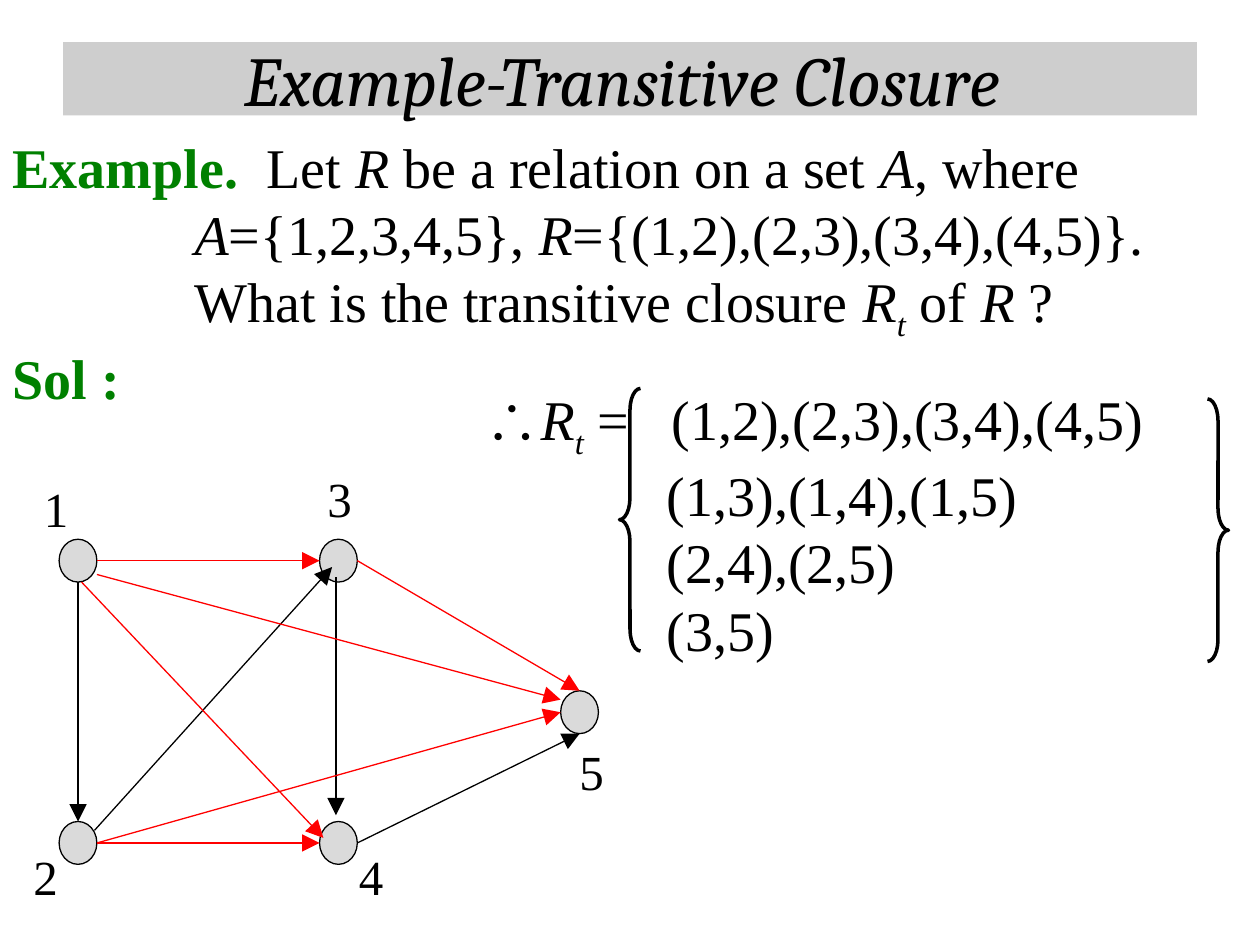
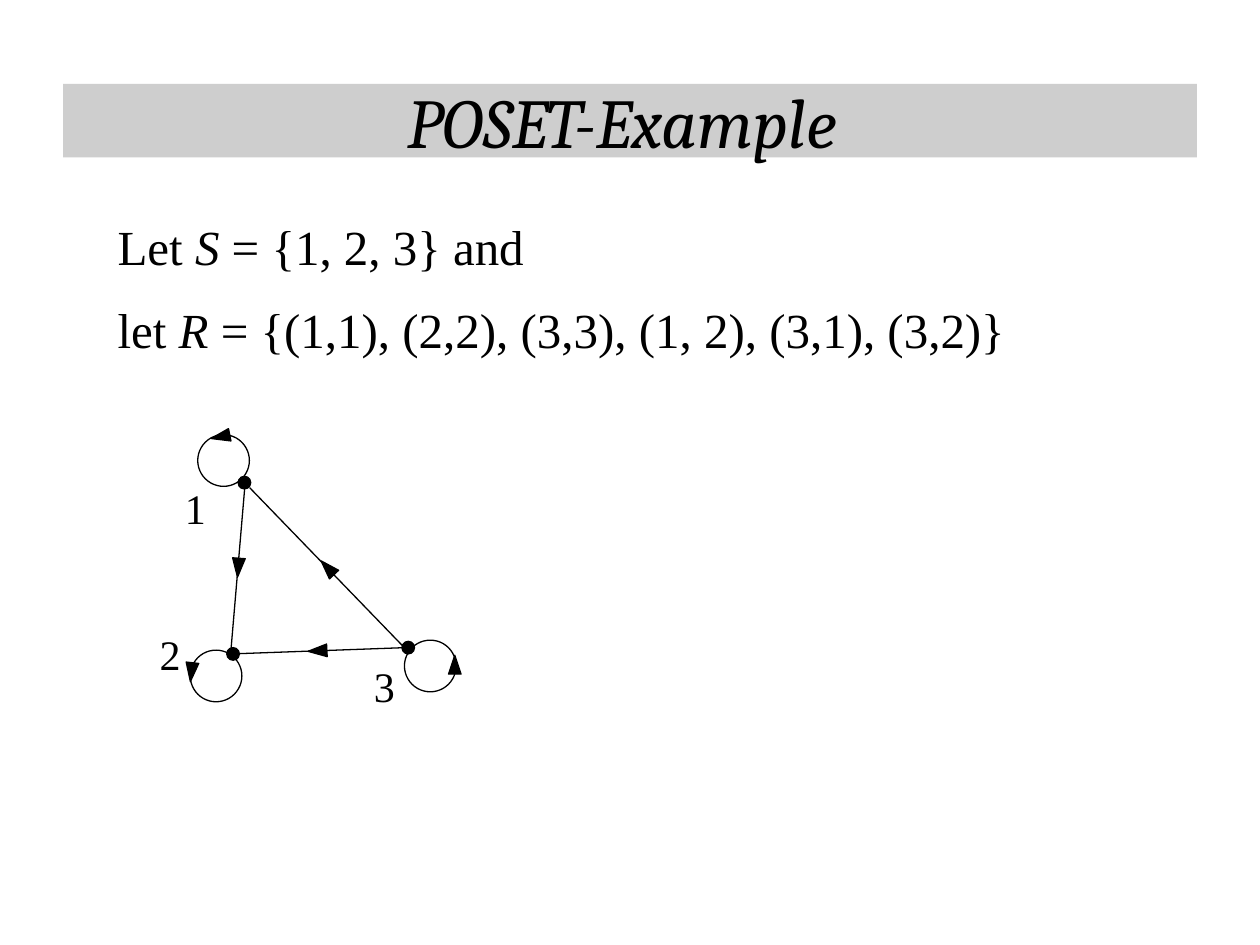
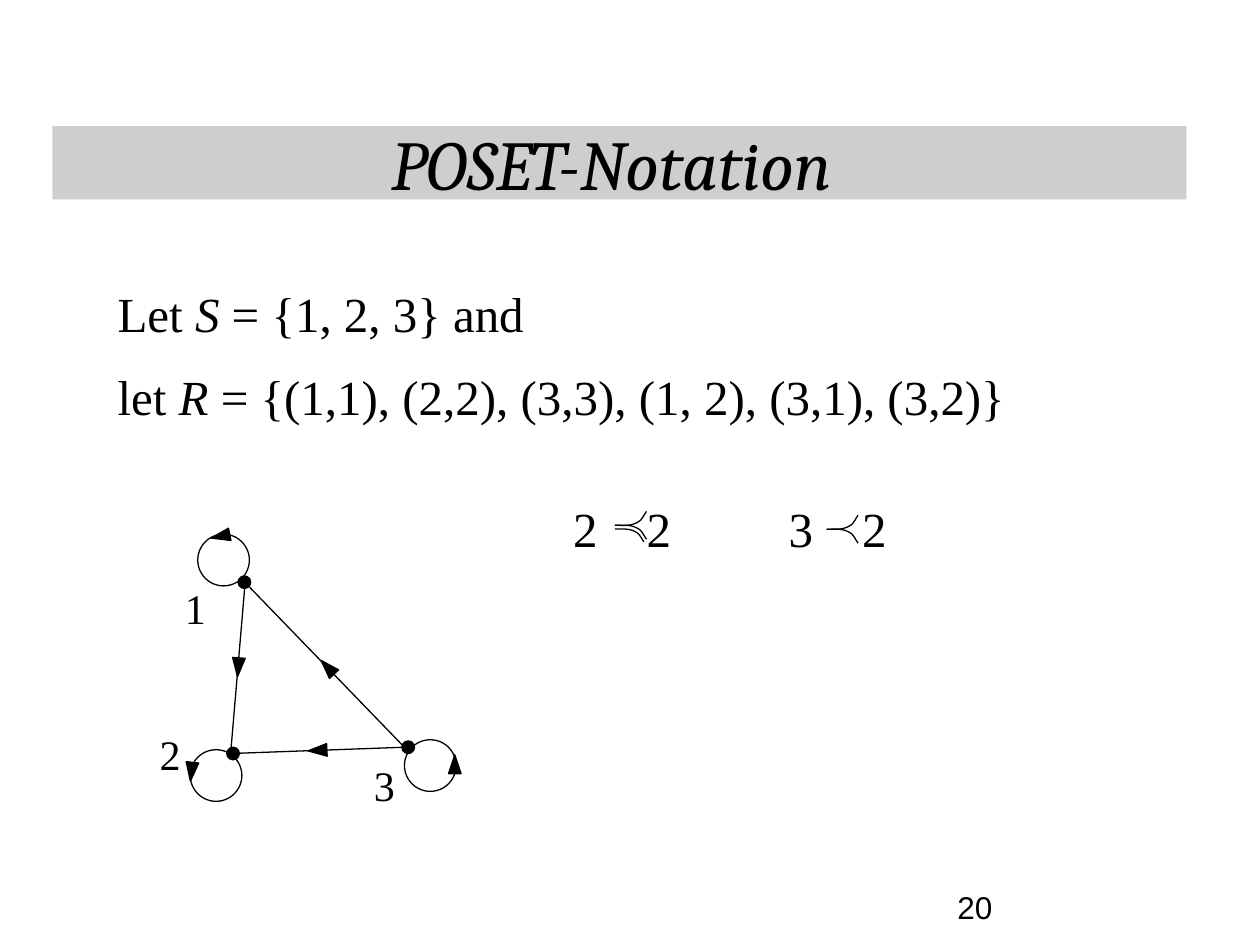
from dataclasses import dataclass

from pptx import Presentation
from pptx.dml.color import RGBColor
from pptx.enum.shapes import MSO_CONNECTOR, MSO_SHAPE
from pptx.enum.text import MSO_ANCHOR, MSO_AUTO_SIZE, PP_ALIGN
from pptx.oxml.ns import qn
from pptx.util import Pt
from lxml import etree

OVAL, TRIANGLE = MSO_SHAPE.OVAL, MSO_SHAPE.ISOSCELES_TRIANGLE
LEFT_BRACE, RIGHT_BRACE = MSO_SHAPE.LEFT_BRACE, MSO_SHAPE.RIGHT_BRACE
STRAIGHT = MSO_CONNECTOR.STRAIGHT
LEFT_ALIGN, CENTER = PP_ALIGN.LEFT, PP_ALIGN.CENTER
MIDDLE, NO_AUTOFIT = MSO_ANCHOR.MIDDLE, MSO_AUTO_SIZE.NONE


@dataclass(frozen=True)
class Theme:
    ink: RGBColor = RGBColor(0, 0, 0)
    keyword: RGBColor = RGBColor(0, 0x80, 0)
    derived: RGBColor = RGBColor(0xFF, 0, 0)
    band: RGBColor = RGBColor(0xCE, 0xCE, 0xCE)
    node: RGBColor = RGBColor(0xDA, 0xDA, 0xDA)
    title_font: str = "Cambria"
    text_font: str = "Times New Roman"
    number_font: str = "Arial"
    title_size: int = 40
    example_size: int = 32
    text_size: int = 28
    label_size: int = 24
    number_size: int = 18
    thin: float = 0.75
    brace: float = 2


THEME = Theme()

# Content: a paragraph is (left indent, runs); a run is (text, style)
PLAIN, ITALIC, SUB, KEY = "plain", "italic", "sub", "key"
BRACE_GAP, SIGN_GAP = "brace gap", "sign gap"
TRACKING = {BRACE_GAP: 16, SIGN_GAP: 21}  # extra width of a space, in points
INDENT = 104

CLOSURE_TITLE = ("Example-Transitive Closure ", (36, 24))
POSET_TITLE = ("POSET-Example ", (36, 48))
NOTATION_TITLE = ("POSET-Notation ", (30, 72))

QUESTION = [
    (0, [("Example.", KEY), ("  Let ", PLAIN), ("R", ITALIC),
         (" be a relation on a set ", PLAIN), ("A", ITALIC), (", where", PLAIN)]),
    (INDENT, [("A", ITALIC), ("={1,2,3,4,5}, ", PLAIN), ("R", ITALIC),
              ("={(1,2),(2,3),(3,4),(4,5)}.", PLAIN)]),
    (INDENT, [("What is the transitive closure ", PLAIN), ("R", ITALIC), ("t", SUB),
              (" of ", PLAIN), ("R", ITALIC), (" ?", PLAIN)]),
    (0, [("Sol :", KEY)]),
]
CLOSURE = [
    (0, [("∴", PLAIN), ("R", ITALIC), ("t", SUB), (" =", PLAIN), (" ", BRACE_GAP),
         ("(1,2),(2,3),(3,4),(4,5)", PLAIN)]),
    (INDENT, [("(1,3),(1,4),(1,5)", PLAIN)]),
    (INDENT, [("(2,4),(2,5)", PLAIN)]),
    (INDENT, [("(3,5)", PLAIN)]),
]
POSET = [
    (0, [("Let ", PLAIN), ("S", ITALIC), (" = {1, 2, 3} and", PLAIN)]),
    (0, [("let ", PLAIN), ("R", ITALIC),
         (" = {(1,1), (2,2), (3,3), (1, 2), (3,1), (3,2)}", PLAIN)]),
]
POSET_BOX, POSET_GAP = (60, 623.5, 91.5), 14
BRACES = [(LEFT_BRACE, 354, 222), (RIGHT_BRACE, 690, 228)]

# Closure graph: node -> (centre, label corner)
NODE_W, NODE_H = 21.6, 24.5
NODES = {
    "1": ((44.6, 320.4), (18, 270)),
    "2": ((44.6, 481.7), (12, 480)),
    "3": ((193.4, 320.4), (180, 264)),
    "4": ((193.4, 481.7), (198, 480)),
    "5": ((331.2, 407), (324, 420)),
}
TOP, BOTTOM = (0, -NODE_H / 2), (0, NODE_H / 2)
LEFT, RIGHT = (-NODE_W / 2, 0), (NODE_W / 2, 0)
# Edges: start, offset from its centre, end, offset from its centre
GIVEN = [
    ("1", BOTTOM, "2", TOP),
    ("2", (9.4, -7.2), "3", (-3.6, 3.6)),
    ("3", (-1.4, 9.4), "4", (-1.4, -15.8)),
    ("4", RIGHT, "5", BOTTOM),
]
DERIVED = [
    ("1", RIGHT, "3", LEFT),
    ("2", RIGHT, "4", LEFT),
    ("1", (2, 12.2), "4", (-8.6, -2.9)),
    ("1", (10.8, 7.9), "5", (-10.8, -7.2)),
    ("2", RIGHT, "5", LEFT),
    ("3", RIGHT, "5", TOP),
]

# Poset graph: label -> (dot corner, label corner, loop corner)
POINTS = {
    "1": ((136.1, 272.2), (98.6, 272.2), (113, 248.4)),
    "2": ((129.6, 370.1), (84.2, 355.7), (108.7, 371.5)),
    "3": ((229.7, 366.5), (206.6, 373.7), (231.1, 365.8)),
}
POSET_EDGES = [
    ((140.4, 272.2), (131.8, 373.7)),
    ((142.6, 278.6), (231.1, 370.1)),
    ((231.1, 370.1), (131.8, 373.7)),
]
# Arrowheads: corner and rotation
HEADS = [
    ((177.8, 366.5), 267), ((183.6, 319), 316.7), ((132.5, 319), 184.2),
    ((122.4, 244.1), 258.6), ((105.8, 378.7), 186.2), ((256.3, 374.4), 0),
]
DOT, LOOP = 7.2, 29.5

# Order signs: upper branch as Bezier control points, then (flip, scale, drop)
BRANCH = [(0, 0), (0.7, 0), (0.7, 0), (2.2, 0), (2.9, 0), (5, 0.2), (6.5, 0),
          (8.6, 0), (11.5, -0.7), (13.7, -2.2), (15.1, -2.9), (16.6, -5.8), (18, -8)]
PRECEDES = [(1, 1, 0), (-1, 1, 0)]
PRECEDES_EQUAL = PRECEDES + [(-1, 0.92, 2.2)]
COMPARISONS = [
    ("2", "2", (320.4, 281.5), (351.4, 300.2), PRECEDES_EQUAL),
    ("3", "2", (443.5, 281.5), (472.3, 302.4), PRECEDES),
]


# Text
def write(frame, paragraphs, size, font=THEME.text_font, gap=0, align=LEFT_ALIGN):
    for index, (indent, runs) in enumerate(paragraphs):
        paragraph = frame.paragraphs[0] if index == 0 else frame.add_paragraph()
        paragraph.alignment = align
        paragraph.space_before = Pt(gap if index else 0)
        props = paragraph._p.get_or_add_pPr()
        props.set("marL", str(Pt(indent)))
        props.set("indent", "0")
        etree.SubElement(props, qn("a:buNone"))
        for text, style in runs:
            run = paragraph.add_run()
            run.text = text
            run.font.size, run.font.name = Pt(size), font
            run.font.bold = style == KEY
            run.font.italic = style in (ITALIC, SUB)
            run.font.color.rgb = THEME.keyword if style == KEY else THEME.ink
            if style == SUB:
                run.font._element.set("baseline", "-25000")
            if style in TRACKING:
                run.font._element.set("spc", str(TRACKING[style] * 100))


def place(shape, left, top, width, height):
    shape.left, shape.top = Pt(left), Pt(top)
    shape.width, shape.height = Pt(width), Pt(height)


def text_box(shapes, corner, width, height, paragraphs, size, wrap=True, **options):
    box = shapes.add_textbox(Pt(corner[0]), Pt(corner[1]), Pt(width), Pt(height))
    box.text_frame.word_wrap = wrap
    write(box.text_frame, paragraphs, size, **options)


def label(shapes, corner, text, size, height, wrap):
    text_box(shapes, corner, 30, height, [(0, [(text, PLAIN)])], size, wrap)


# Shapes and lines
def outline(shape, fill=None, weight=THEME.thin):
    shape.shadow.inherit = False
    if fill is None:
        shape.fill.background()
    else:
        shape.fill.solid()
        shape.fill.fore_color.rgb = fill
    shape.line.color.rgb = THEME.ink
    shape.line.width = Pt(weight)


def add_outline(shapes, kind, corner, width, height, fill=None, weight=THEME.thin):
    shape = shapes.add_shape(kind, Pt(corner[0]), Pt(corner[1]), Pt(width), Pt(height))
    outline(shape, fill, weight)
    return shape


def add_line(shapes, start, end, color=THEME.ink, arrow=False):
    edge = shapes.add_connector(STRAIGHT, *(Pt(v) for v in (*start, *end)))
    edge.line.color.rgb = color
    edge.line.width = Pt(THEME.thin)
    if arrow:
        etree.SubElement(edge.line._get_or_add_ln(), qn("a:tailEnd"),
                         type="triangle", w="lg", len="lg")
    etree.SubElement(edge._element.spPr, qn("a:effectLst"))


def shifted(point, dx, dy):
    return point[0] + dx, point[1] + dy


# Slide frame: title band and body text
def new_slide(deck, title, body, body_top, body_box, size, gap=0):
    slide = deck.slides.add_slide(deck.slide_layouts[1])
    heading, content = slide.shapes.title, slide.placeholders[1]
    text, corner = title
    place(heading, *corner, 648, 42)
    heading.fill.solid()
    heading.fill.fore_color.rgb = THEME.band
    heading.text_frame.vertical_anchor = MIDDLE
    write(heading.text_frame, [(0, [(text, ITALIC)])], THEME.title_size,
          THEME.title_font, align=CENTER)
    left, width, height = body_box
    place(content, left, body_top, width, height)
    write(content.text_frame, body, size, gap=gap)
    for frame in (heading.text_frame, content.text_frame):
        frame.auto_size = NO_AUTOFIT
        frame.word_wrap = True
    return slide


def closure_graph(shapes):
    for name, (centre, corner) in NODES.items():
        add_outline(shapes, OVAL, shifted(centre, -NODE_W / 2, -NODE_H / 2),
                    NODE_W, NODE_H, THEME.node)
        label(shapes, corner, name, THEME.text_size, 41, wrap=False)
    for edges, color in ((GIVEN, THEME.ink), (DERIVED, THEME.derived)):
        for start, start_offset, end, end_offset in edges:
            add_line(shapes, shifted(NODES[start][0], *start_offset),
                     shifted(NODES[end][0], *end_offset), color, arrow=True)


def poset_graph(slide, drop):
    shapes = slide.shapes.add_group_shape().shapes
    for name, (dot, corner, loop) in POINTS.items():
        add_outline(shapes, OVAL, shifted(dot, 0, drop), DOT, DOT, THEME.ink)
        label(shapes, shifted(corner, 0, drop), name, THEME.label_size, 29, wrap=True)
        add_outline(shapes, OVAL, shifted(loop, 0, drop), LOOP, LOOP)
    for start, end in POSET_EDGES:
        add_line(shapes, shifted(start, 0, drop), shifted(end, 0, drop))
    for corner, turn in HEADS:
        head = add_outline(shapes, TRIANGLE, shifted(corner, 0, drop), 7.2, 10.8, THEME.ink)
        head.rotation = turn


def branch_points(steps=5):
    points = [BRANCH[0]]
    for i in range(0, len(BRANCH) - 1, 3):
        for step in range(1, steps + 1):
            t = step / steps
            weights = ((1 - t) ** 3, 3 * t * (1 - t) ** 2, 3 * t * t * (1 - t), t ** 3)
            points.append(tuple(sum(w * p[axis] for w, p in zip(weights, BRANCH[i:i + 4]))
                                for axis in (0, 1)))
    return points


def order_sign(shapes, origin, branches):
    for flip, scale, drop in branches:
        start, *rest = [(Pt(origin[0] + x * scale), Pt(origin[1] + drop + y * flip * scale))
                        for x, y in branch_points()]
        pen = shapes.build_freeform(*start)
        pen.add_line_segments(rest, close=False)
        outline(pen.convert_to_shape())


def main():
    deck = Presentation()
    deck.slide_width, deck.slide_height = Pt(720), Pt(540)

    # Transitive closure
    slide = new_slide(deck, CLOSURE_TITLE, QUESTION, 72, (0, 720, 160.5), THEME.example_size)
    closure_graph(slide.shapes)
    text_box(slide.shapes, (270, 216), 426, 160.5, CLOSURE, THEME.example_size)
    for kind, left, top in BRACES:
        brace = add_outline(slide.shapes, kind, (left, top), 12, 150, weight=THEME.brace)
        brace.adjustments[0] = 1.04

    # Poset example
    slide = new_slide(deck, POSET_TITLE, POSET, 120, POSET_BOX, THEME.text_size, POSET_GAP)
    poset_graph(slide, 0)

    # Poset notation
    slide = new_slide(deck, NOTATION_TITLE, POSET, 158.4, POSET_BOX, THEME.text_size, POSET_GAP)
    poset_graph(slide, 56.9)
    for lower, upper, corner, origin, branches in COMPARISONS:
        shapes = slide.shapes.add_group_shape().shapes
        comparison = [(lower, PLAIN), (" ", SIGN_GAP), (upper, PLAIN)]
        text_box(shapes, corner, 84, 41, [(0, comparison)], THEME.text_size)
        order_sign(shapes, origin, branches)
    text_box(slide.shapes, (540, 504), 126, 36, [(0, [("20", PLAIN)])],
             THEME.number_size, font=THEME.number_font)

    deck.save("out.pptx")


if __name__ == "__main__":
    main()
